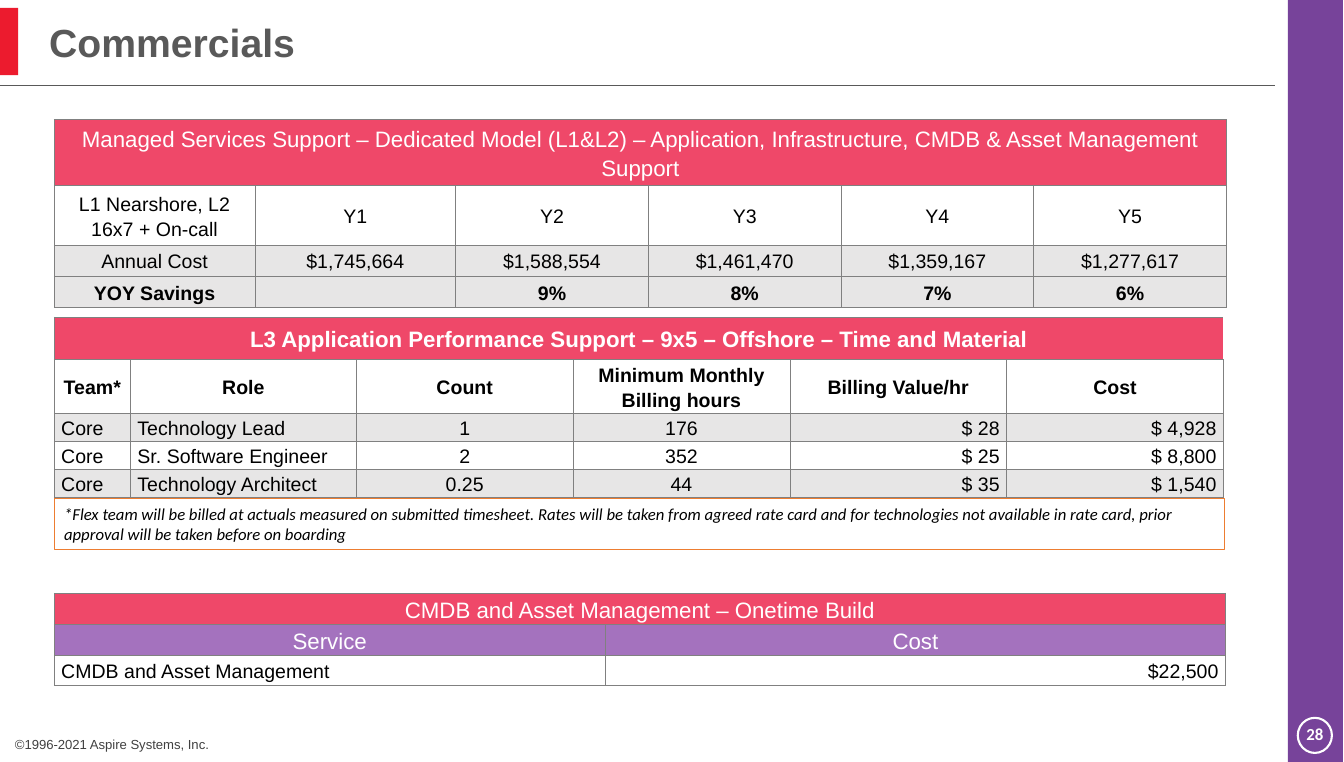
import pptx
import pptx.util
import pptx.dml.color
import pptx.enum.shapes
import pptx.enum.text
import pptx.oxml
import pptx.oxml.ns
from lxml import etree

Inches, Pt = pptx.util.Inches, pptx.util.Pt
RGBColor = pptx.dml.color.RGBColor
SHAPE = pptx.enum.shapes.MSO_SHAPE
ANCHOR = pptx.enum.text.MSO_ANCHOR
ALIGN = {
    "l": pptx.enum.text.PP_ALIGN.LEFT,
    "c": pptx.enum.text.PP_ALIGN.CENTER,
    "r": pptx.enum.text.PP_ALIGN.RIGHT,
}

WHITE = RGBColor(0xFF, 0xFF, 0xFF)
BLACK = RGBColor(0x00, 0x00, 0x00)
GRAY = RGBColor(0x59, 0x59, 0x59)
FOOTER_GRAY = RGBColor(0x40, 0x40, 0x40)
BORDER_GRAY = RGBColor(0x80, 0x80, 0x80)
BAND = RGBColor(0xE7, 0xE6, 0xE6)
PINK = RGBColor(0xEF, 0x48, 0x69)
LILAC = RGBColor(0xA4, 0x72, 0xBE)
PURPLE = RGBColor(0x77, 0x43, 0x9A)
RED = RGBColor(0xEC, 0x1B, 0x2E)
ORANGE = RGBColor(0xED, 0x7D, 0x31)

TABLE_LEFT, TABLE_WIDTH = 0.54, 11.66


def add_span(para, text, size, color, font="Arial", bold=False, italic=False):
    span = para.add_run()
    span.text = text
    span.font.name = font
    span.font.size = Pt(size)
    span.font.bold = bold
    span.font.italic = italic
    span.font.color.rgb = color


def add_label(page, place, text, size, color, align="l", **style):
    box = page.shapes.add_textbox(*map(Inches, place))
    box.text_frame.word_wrap = True
    para = box.text_frame.paragraphs[0]
    para.alignment = ALIGN[align]
    add_span(para, text, size, color, **style)


def add_block(page, kind, place, fill=None, line=None, width=1.0):
    block = page.shapes.add_shape(kind, *map(Inches, place))
    block.shadow.inherit = False
    if fill is None:
        block.fill.background()
    else:
        block.fill.solid()
        block.fill.fore_color.rgb = fill
    if line is None:
        block.line.fill.background()
    else:
        block.line.color.rgb = line
        block.line.width = Pt(width)
    return block


def add_rule(page, left, right, top, color, width):
    rule = page.shapes.add_connector(
        pptx.enum.shapes.MSO_CONNECTOR.STRAIGHT,
        Inches(left), Inches(top), Inches(right), Inches(top))
    rule.line.color.rgb = color
    rule.line.width = Pt(width)
    properties = rule._element.spPr
    etree.SubElement(properties, pptx.oxml.ns.qn("a:effectLst"))


def set_borders(cell, right):
    properties = cell._tc.get_or_add_tcPr()
    gray = (BORDER_GRAY, 0.5)
    for side, (color, width) in zip("LRTB", (gray, right, gray, gray)):
        properties.append(pptx.oxml.parse_xml(
            f'<a:ln{side} {pptx.oxml.ns.nsdecls("a")} w="{int(Pt(width))}">'
            f'<a:solidFill><a:srgbClr val="{color}"/></a:solidFill></a:ln{side}>'))


def fill_cell(cell, text, fill, size, color, align, bold, right):
    set_borders(cell, right)
    cell.fill.solid()
    cell.fill.fore_color.rgb = fill
    cell.vertical_anchor = ANCHOR.MIDDLE
    cell.margin_left = cell.margin_right = Inches(0.07)
    cell.margin_top = cell.margin_bottom = 0
    if text:
        para = cell.text_frame.paragraphs[0]
        para.alignment = ALIGN[align]
        para.line_spacing = 1.15
        add_span(para, text, size, color, bold=bold)


def add_cost_table(page, top, columns, heights, heading, rows,
                   bold_heading=False, heading_right=(BORDER_GRAY, 0.5)):
    """Each row is (texts, fill, alignment letters, bold)."""
    table = page.shapes.add_table(
        len(heights), len(columns), Inches(TABLE_LEFT), Inches(top),
        Inches(TABLE_WIDTH), Inches(sum(heights))).table
    table.first_row = table.horz_banding = False
    for column, width in zip(table.columns, columns):
        column.width = Inches(width)
    for row, height in zip(table.rows, heights):
        row.height = Inches(height)

    # Heading across all columns
    table.cell(0, 0).merge(table.cell(0, len(columns) - 1))
    for index in range(len(columns)):
        fill_cell(table.cell(0, index), "" if index else heading, PINK, 16,
                  WHITE, "c", bold_heading, heading_right)

    # Body rows
    for number, (texts, fill, aligns, bold) in enumerate(rows, 1):
        size, color = (16, WHITE) if fill == LILAC else (14, BLACK)
        for index, (text, align) in enumerate(zip(texts, aligns)):
            fill_cell(table.cell(number, index), text, fill, size, color,
                      align, bold, (BORDER_GRAY, 0.5))


def add_frame(page):
    add_label(page, (0.05, 7.29, 2.78, 0.26), "©1996-2021 Aspire Systems, Inc.",
              9.4, FOOTER_GRAY)
    add_block(page, SHAPE.RECTANGLE, (12.83, 0, 0.55, 7.59), PURPLE)
    add_label(page, (12.9, 7.16, 0.4, 0.3), "28", 12.1, WHITE, "c",
              font="Calibri", bold=True)
    add_block(page, SHAPE.OVAL, (12.93, 7.15, 0.34, 0.35), line=WHITE, width=1.5)
    add_block(page, SHAPE.RECTANGLE, (0, 0.08, 0.18, 0.67), RED)
    add_rule(page, 0, 12.7, 0.85, GRAY, 0.5)


def add_title(page, text):
    title = page.shapes.title
    title.left, title.top, title.width, title.height = map(
        Inches, (0.42, 0.14, 10.55, 0.55))
    frame = title.text_frame
    frame.vertical_anchor = ANCHOR.MIDDLE
    frame.margin_left = frame.margin_right = Inches(0.07)
    frame.margin_top = frame.margin_bottom = Inches(0.04)
    frame.paragraphs[0].alignment = ALIGN["l"]
    add_span(frame.paragraphs[0], text, 28.1, GRAY, bold=True)


def add_note(page, text):
    note = add_block(page, SHAPE.RECTANGLE, (TABLE_LEFT, 4.97, TABLE_WIDTH, 0.5),
                     line=ORANGE, width=0.75)
    note.text_frame.word_wrap = True
    note.text_frame.vertical_anchor = ANCHOR.TOP
    para = note.text_frame.paragraphs[0]
    para.alignment = ALIGN["l"]
    add_span(para, text, 12, BLACK, font="Calibri", italic=True)


def main():
    deck = pptx.Presentation()
    deck.slide_width, deck.slide_height = Inches(13.39), Inches(7.59)
    page = deck.slides.add_slide(deck.slide_layouts[5])
    add_frame(page)
    add_title(page, "Commercials")

    # Managed services
    add_cost_table(
        page, 1.19, [2] * 2 + [1.92] * 4, [0.66, 0.59, 0.31, 0.31],
        "Managed Services Support – Dedicated Model (L1&L2) – Application, "
        "Infrastructure, CMDB & Asset Management Support",
        [(("L1 Nearshore, L2 16x7 + On-call", "Y1", "Y2", "Y3", "Y4", "Y5"),
          WHITE, "cccccc", False),
         (("Annual Cost", "$1,745,664", "$1,588,554", "$1,461,470",
           "$1,359,167", "$1,277,617"), BAND, "cccccc", False),
         (("YOY Savings", "", "9%", "8%", "7%", "6%"), BAND, "cccccc", True)])

    # Application support
    add_cost_table(
        page, 3.16, [0.76, 2.25] + [2.16] * 4, [0.42, 0.53] + [0.28] * 3,
        "L3 Application Performance Support – 9x5 – Offshore – Time and Material",
        [(("Team*", "Role", "Count", "Minimum Monthly Billing hours",
           "Billing Value/hr", "Cost"), WHITE, "cccccc", True),
         (("Core", "Technology Lead", "1", "176", "$ 28", "$ 4,928"),
          BAND, "llccrr", False),
         (("Core", "Sr. Software Engineer", "2", "352", "$ 25", "$ 8,800"),
          WHITE, "llccrr", False),
         (("Core", "Technology Architect", "0.25", "44", "$ 35", "$ 1,540"),
          BAND, "llccrr", False)],
        bold_heading=True, heading_right=(WHITE, 1))
    add_note(page, "*Flex team will be billed at actuals measured on submitted "
             "timesheet. Rates will be taken from agreed rate card and for "
             "technologies not available in rate card, prior approval will be "
             "taken before on boarding")

    # One-time build
    add_cost_table(
        page, 5.91, [5.49, 6.18], [0.3] * 3,
        "CMDB and Asset Management – Onetime Build",
        [(("Service", "Cost"), LILAC, "cc", False),
         (("CMDB and Asset Management", "$22,500"), WHITE, "lr", False)])

    deck.save("out.pptx")


if __name__ == "__main__":
    main()
